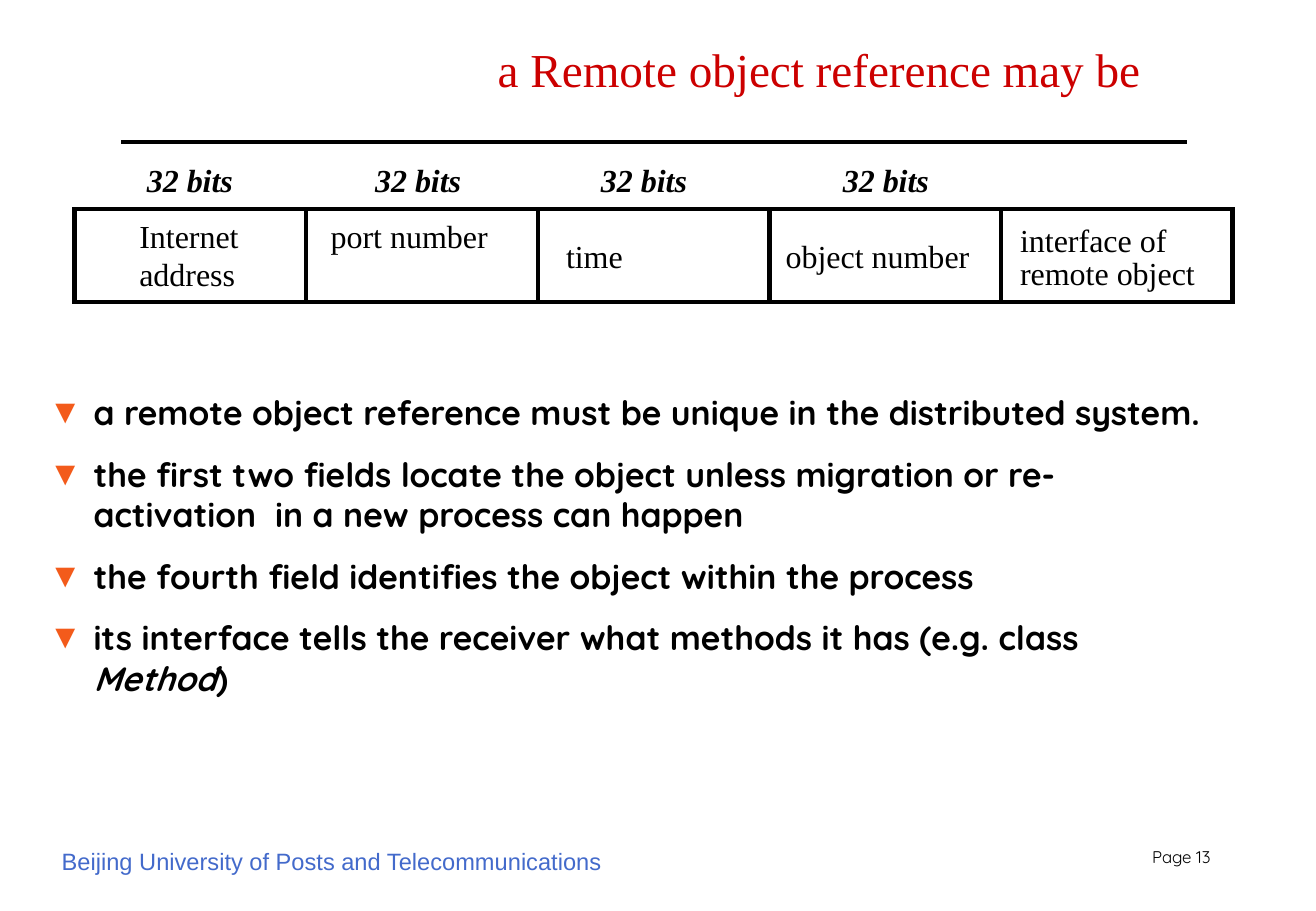
from dataclasses import dataclass

from lxml import etree
from pptx import Presentation
from pptx.dml.color import RGBColor
from pptx.enum.shapes import MSO_CONNECTOR, MSO_SHAPE
from pptx.enum.text import MSO_ANCHOR, PP_ALIGN
from pptx.oxml.ns import qn
from pptx.util import Pt

STRAIGHT = MSO_CONNECTOR.STRAIGHT
RECTANGLE = MSO_SHAPE.RECTANGLE
TOP = MSO_ANCHOR.TOP
LEFT, RIGHT = PP_ALIGN.LEFT, PP_ALIGN.RIGHT


@dataclass(frozen=True)
class Theme:
    ink: str = "000000"
    title: str = "CC0000"
    footer: str = "436ACB"
    bullet: str = "F35B1B"
    serif: str = "Times New Roman"
    body: str = "Quicksand"
    sans: str = "Arial"
    title_size: float = 28
    body_size: float = 20
    field_size: float = 19
    footer_size: float = 14
    page_size: float = 10


THEME = Theme()

# Record of fields: outer frame, divided into equal columns
FRAME_LEFT, FRAME_TOP, FRAME_WIDTH, FRAME_HEIGHT = 44.2, 123.8, 687, 55.2
FIELD_COUNT = 5
FIELD_WIDTH = 115
# Left, top, line spacing, lines
FIELDS = [
    (82.6, 128.2, 1.0, ["Internet", "address"]),
    (196.1, 128.2, 1.0, ["port number"]),
    (335.7, 140.2, 1.0, ["time"]),
    (466, 140.2, 1.0, ["object number"]),
    (605, 133.8, 0.86, ["interface of", "remote object"]),
]
BIT_LABEL_LEFTS = [87.1, 222.5, 356.4, 499.9]

# A paragraph is a string, or a list of (text, italic) runs
POINTS = [
    "a remote object reference must be unique in the distributed system.",
    "the first two fields locate the object unless migration or "
    "re-activation  in a new process can happen",
    "the fourth field identifies the object within the process",
    [("its interface tells the receiver what methods it has (e.g. class ", False),
     ("Method", True), (")", False)],
]


def write_text(frame, paragraphs, *, font, size, color=THEME.ink, bold=False,
               italic=False, align=LEFT, inset=(0, 0), spacing=1.0, gap=0):
    frame.word_wrap = True
    frame.vertical_anchor = TOP
    frame.margin_left = frame.margin_right = Pt(inset[0])
    frame.margin_top = frame.margin_bottom = Pt(inset[1])
    for index, content in enumerate(paragraphs):
        paragraph = frame.add_paragraph() if index else frame.paragraphs[0]
        paragraph.alignment = align
        paragraph.line_spacing = spacing
        paragraph.space_before = Pt(gap if index else 0)
        runs = [(content, italic)] if isinstance(content, str) else content
        for words, slanted in runs:
            run = paragraph.add_run()
            run.text = words
            run.font.name = font
            run.font.size = Pt(size)
            run.font.bold = bold
            run.font.italic = slanted
            run.font.color.rgb = RGBColor.from_string(color)


def add_text(slide, left, top, width, height, paragraphs, **text_format):
    box = slide.shapes.add_textbox(Pt(left), Pt(top), Pt(width), Pt(height))
    write_text(box.text_frame, paragraphs, **text_format)
    return box.text_frame


def add_line(slide, x1, y1, x2, y2, weight):
    line = slide.shapes.add_connector(STRAIGHT, Pt(x1), Pt(y1), Pt(x2), Pt(y2))
    line.line.color.rgb = RGBColor.from_string(THEME.ink)
    line.line.width = Pt(weight)
    etree.SubElement(line._element.spPr, qn("a:effectLst"))


def add_bullet(paragraph, indent):
    properties = paragraph._p.get_or_add_pPr()
    properties.set("marL", str(Pt(indent)))
    properties.set("indent", str(-Pt(indent)))
    color = etree.SubElement(properties, qn("a:buClr"))
    etree.SubElement(color, qn("a:srgbClr"), val=THEME.bullet)
    etree.SubElement(properties, qn("a:buFont"), typeface=THEME.sans)
    etree.SubElement(properties, qn("a:buChar"), char="▼")


def add_title(slide, text):
    title = slide.shapes.title
    title.left, title.top = Pt(288), Pt(20.5)
    title.width, title.height = Pt(453.6), Pt(41)
    write_text(title.text_frame, [text], font=THEME.serif,
               size=THEME.title_size, color=THEME.title, inset=(7.2, 3.6))


def add_record(slide):
    frame = slide.shapes.add_shape(RECTANGLE, Pt(FRAME_LEFT), Pt(FRAME_TOP),
                                   Pt(FRAME_WIDTH), Pt(FRAME_HEIGHT))
    frame.shadow.inherit = False
    frame.fill.background()
    frame.line.color.rgb = RGBColor.from_string(THEME.ink)
    frame.line.width = Pt(2.75)
    # Square corners
    outline = frame.line._get_or_add_ln()
    etree.SubElement(outline, qn("a:miter"), lim="800000")

    for column in range(1, FIELD_COUNT):
        x = FRAME_LEFT + column * FRAME_WIDTH / FIELD_COUNT
        add_line(slide, x, FRAME_TOP, x, FRAME_TOP + FRAME_HEIGHT, 2.75)

    for left, top, spacing, lines in FIELDS:
        add_text(slide, left, top, FIELD_WIDTH, 23 * len(lines), lines,
                 font=THEME.serif, size=THEME.field_size, spacing=spacing)
    for left in BIT_LABEL_LEFTS:
        add_text(slide, left, 94.9, 60, 23, ["32 bits"], font=THEME.serif,
                 size=THEME.field_size, bold=True, italic=True)


def add_points(slide):
    points = add_text(slide, 21.8, 228.6, 702, 190, POINTS, font=THEME.body,
                      size=THEME.body_size, bold=True, inset=(7.2, 3.6),
                      gap=12.5)
    for paragraph in points.paragraphs:
        add_bullet(paragraph, 26.6)


def add_footer(slide):
    add_text(slide, 29.5, 498.2, 336, 24,
             ["Beijing University of Posts and Telecommunications"],
             font=THEME.sans, size=THEME.footer_size, color=THEME.footer,
             inset=(7.2, 3.6))
    add_text(slide, 631.4, 498.2, 93.6, 21, ["Page 13"], font=THEME.body,
             size=THEME.page_size, align=RIGHT, inset=(7.2, 3.6))


def main():
    deck = Presentation()
    deck.slide_width, deck.slide_height = Pt(780.48), Pt(540)
    # The page is wider than the 4:3 preset of the default template
    deck.element.sldSz.attrib.pop("type", None)
    title_only = deck.slide_layouts[5]
    slide = deck.slides.add_slide(title_only)

    # Heading and the rule below it
    add_title(slide, "a Remote object reference may be")
    add_line(slide, 72, 84.2, 704.2, 84.2, 2)

    # Field layout, explanation and footer
    add_record(slide)
    add_points(slide)
    add_footer(slide)

    deck.save("out.pptx")


if __name__ == "__main__":
    main()
